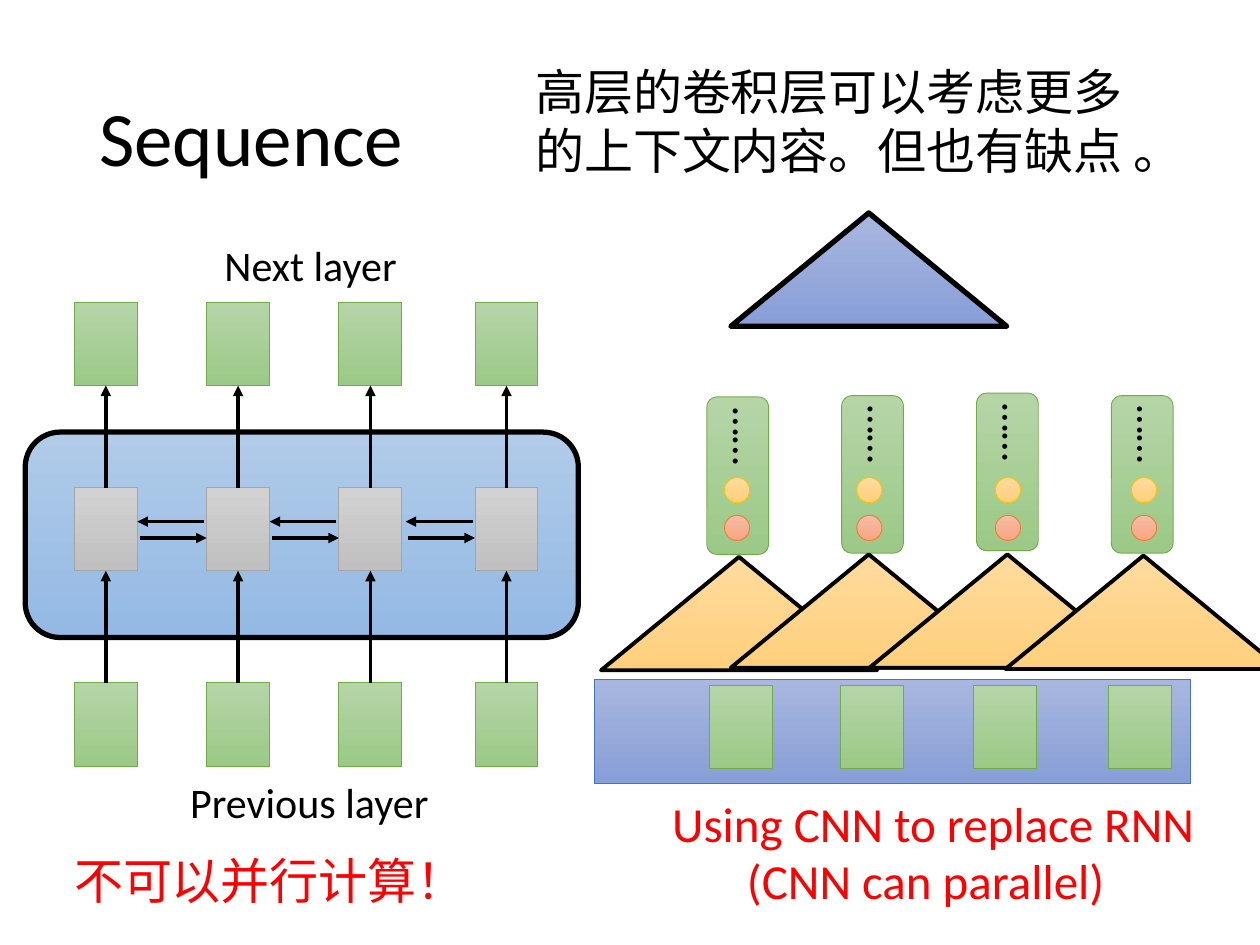
from dataclasses import dataclass

import pptx
import pptx.dml.color
import pptx.enum.shapes
import pptx.enum.text
import pptx.oxml
import pptx.oxml.ns
import pptx.util

Inches = pptx.util.Inches
Pt = pptx.util.Pt
Shape = pptx.enum.shapes.MSO_SHAPE
Align = pptx.enum.text.PP_ALIGN
Anchor = pptx.enum.text.MSO_ANCHOR

COLORS = {
    "black": "000000",
    "red": "FF0000",
    "green_top": "B5D5A7",
    "green_bottom": "9CC987",
    "green_line": "70AD47",
    "gray_top": "D2D2D2",
    "gray_bottom": "C0C0C0",
    "gray_line": "A5A5A5",
    "sky_top": "B1CBE9",
    "sky_bottom": "93B9E4",
    "indigo_top": "A8B7DF",
    "indigo_bottom": "889ED7",
    "indigo_line": "4472C4",
    "gold_top": "FFDB9E",
    "gold_bottom": "FFD07C",
    "gold_line": "FFC000",
    "orange_top": "F7BDA5",
    "orange_bottom": "F8A582",
    "orange_line": "ED7D31",
}


@dataclass(frozen=True)
class Style:
    tone: str
    line: str
    width: float = 0.5


@dataclass(frozen=True)
class ConvolutionColumn:
    input_left: float
    kernel_left: float
    kernel_top: float
    filter_left: float
    filter_top: float
    circle_left: float


GREEN = Style("green", "green_line")
GRAY = Style("gray", "gray_line")
INDIGO = Style("indigo", "indigo_line")
GOLD = Style("gold", "gold_line")
ORANGE = Style("orange", "orange_line")
RECURRENT_LAYER = Style("sky", "black", 3)
KERNEL = Style("gold", "black", 2.25)
UPPER_KERNEL = Style("indigo", "black", 3)

RECURRENT_LEFTS = (0.59, 1.64, 2.69, 3.77)
CELL_WIDTH, CELL_HEIGHT = 0.5, 0.66
CONVOLUTION_COLUMNS = (
    ConvolutionColumn(5.63, 4.77, 4.42, 5.61, 3.15, 5.75),
    ConvolutionColumn(6.67, 5.8, 4.4, 6.68, 3.14, 6.8),
    ConvolutionColumn(7.73, 6.9, 4.4, 7.75, 3.12, 7.9),
    ConvolutionColumn(8.8, 7.98, 4.41, 8.82, 3.14, 8.98),
)


def color(name: str) -> pptx.dml.color.RGBColor:
    return pptx.dml.color.RGBColor.from_string(COLORS[name])


def add_figure(slide, kind, left: float, top: float, width: float, height: float, style: Style):
    shape = slide.shapes.add_shape(kind, Inches(left), Inches(top), Inches(width), Inches(height))
    shape.shadow.inherit = False
    shape.fill.gradient()
    shape.fill.gradient_angle = 270
    for stop, end in zip(shape.fill.gradient_stops, ("top", "bottom")):
        stop.color.rgb = color(f"{style.tone}_{end}")
    shape.line.color.rgb = color(style.line)
    shape.line.width = Pt(style.width)
    return shape


def add_text(slide, text: str, left: float, top: float, width: float, height: float, *,
             size: float = 24, ink: str = "black", align=Align.LEFT, anchor=Anchor.TOP,
             rotation: float = 0, line_spacing: float = 1.0):
    shape = slide.shapes.add_textbox(Inches(left), Inches(top), Inches(width), Inches(height))
    shape.rotation = rotation
    frame = shape.text_frame
    frame.word_wrap = True
    frame.vertical_anchor = anchor
    paragraph = frame.paragraphs[0]
    paragraph.alignment = align
    paragraph.line_spacing = line_spacing
    run = paragraph.add_run()
    run.text = text
    run.font.name = "Calibri"
    run.font.size = Pt(size)
    run.font.color.rgb = color(ink)
    return shape


def add_arrow(slide, start: tuple[float, float] = (0, 0), end: tuple[float, float] = (0, 0)):
    connector = slide.shapes.add_connector(
        pptx.enum.shapes.MSO_CONNECTOR.STRAIGHT, *map(Inches, start + end))
    connector.line.color.rgb = color("black")
    connector.line.width = Pt(2)
    line = connector.line._get_or_add_ln()
    line.append(pptx.oxml.parse_xml(
        f'<a:tailEnd {pptx.oxml.ns.nsdecls("a")} type="triangle"/>'))
    line.getparent().append(pptx.oxml.parse_xml(
        f'<a:effectLst {pptx.oxml.ns.nsdecls("a")}/>'))
    return connector


def join_upward(slide, lower, upper) -> None:
    connector = add_arrow(slide)
    connector.begin_connect(lower, 0)
    connector.end_connect(upper, 2)


def draw_recurrent_network(slide) -> None:
    layer = add_figure(slide, Shape.ROUNDED_RECTANGLE, 0.2, 3.43, 4.39, 1.63, RECURRENT_LAYER)
    layer.adjustments[0] = 0.17
    for left in RECURRENT_LEFTS:
        previous, cell, following = (
            add_figure(slide, Shape.RECTANGLE, left, top, CELL_WIDTH, CELL_HEIGHT, style)
            for top, style in ((5.42, GREEN), (3.87, GRAY), (2.4, GREEN)))
        join_upward(slide, previous, cell)
        join_upward(slide, cell, following)
    for left, right in zip(RECURRENT_LEFTS, RECURRENT_LEFTS[1:]):
        add_arrow(slide, (right - 0.53, 4.27), (right, 4.27))
        add_arrow(slide, (right - 0.02, 4.14), (right - 0.55, 4.14))


def draw_convolution_network(slide) -> None:
    add_figure(slide, Shape.RECTANGLE, 4.72, 5.39, 4.73, 0.83, INDIGO)
    for column in CONVOLUTION_COLUMNS:
        add_figure(slide, Shape.ROUNDED_RECTANGLE, column.filter_left, column.filter_top,
                   0.49, 1.25, GREEN)
        add_text(slide, "……", column.filter_left, column.filter_top + 0.05, 0.68, 0.5,
                 align=Align.RIGHT, rotation=90)
        add_figure(slide, Shape.RECTANGLE, column.input_left, 5.44,
                   CELL_WIDTH, CELL_HEIGHT, GREEN)
        add_figure(slide, Shape.ISOSCELES_TRIANGLE, column.kernel_left, column.kernel_top,
                   2.19, 0.9, KERNEL)
        for top, style in ((4.09, ORANGE), (3.79, GOLD)):
            add_figure(slide, Shape.OVAL, column.circle_left, top, 0.2, 0.2, style)
    add_figure(slide, Shape.ISOSCELES_TRIANGLE, 5.8, 1.69, 2.19, 0.9, UPPER_KERNEL)


def draw_texts(slide) -> None:
    add_text(slide, "Sequence", 0.69, 0.4, 8.62, 1.45, size=44,
             anchor=Anchor.MIDDLE, line_spacing=0.9)
    add_text(slide, "高层的卷积层可以考虑更多的上下文内容。但也有缺点 。",
             4.15, 0.44, 5.17, 1.04, size=28)
    add_text(slide, "Next layer", 1.15, 1.85, 2.63, 0.5, align=Align.CENTER)
    add_text(slide, "Previous layer", 1.14, 6.11, 2.63, 0.5, align=Align.CENTER)
    add_text(slide, "不可以并行计算！", 0.49, 6.7, 3.44, 0.57, size=28, ink="red")
    add_text(slide, "Using CNN to replace RNN", 5.12, 6.25, 4.57, 0.57,
             size=28, ink="red", align=Align.CENTER)
    add_text(slide, "(CNN can parallel)", 5.83, 6.7, 3.15, 0.57, size=28, ink="red")


def main() -> None:
    presentation = pptx.Presentation()
    presentation.slide_width = Inches(10)
    presentation.slide_height = Inches(7.5)
    slide = presentation.slides.add_slide(presentation.slide_layouts[6])
    draw_recurrent_network(slide)
    draw_convolution_network(slide)
    draw_texts(slide)
    presentation.save("out.pptx")


if __name__ == "__main__":
    main()
